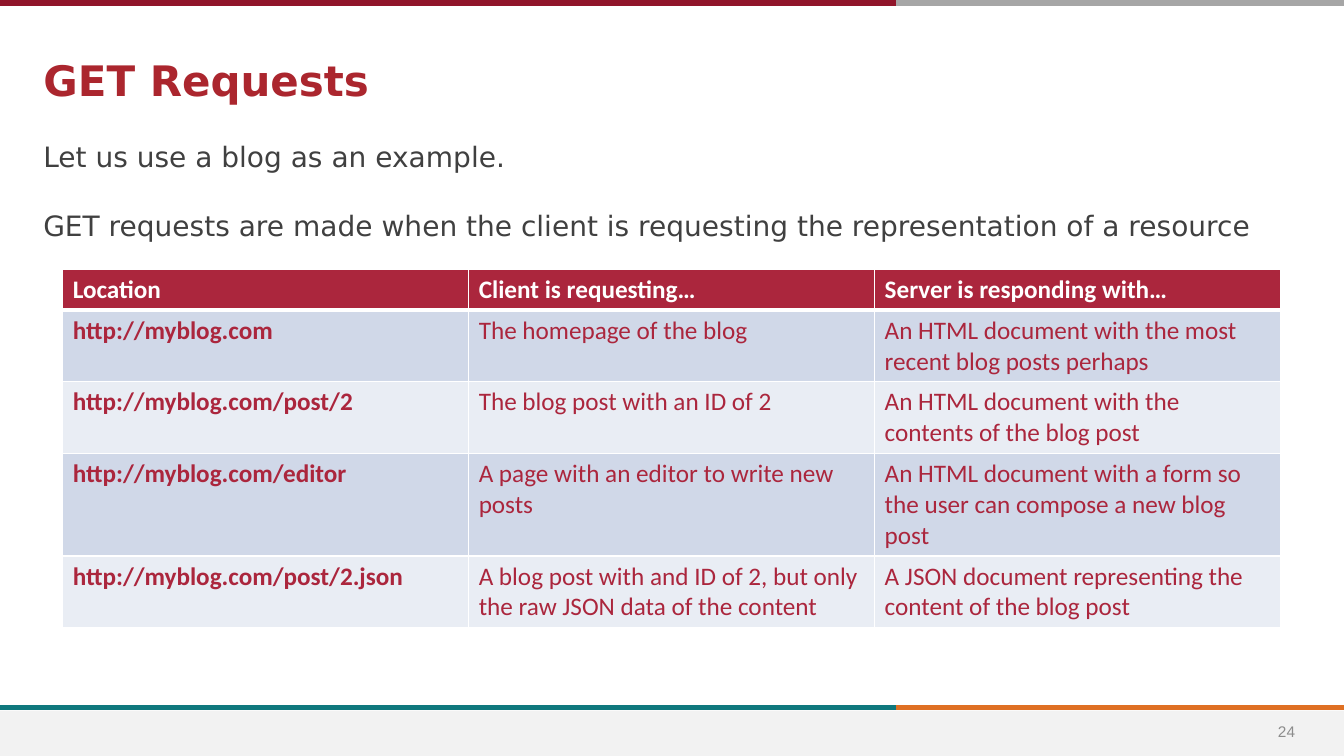
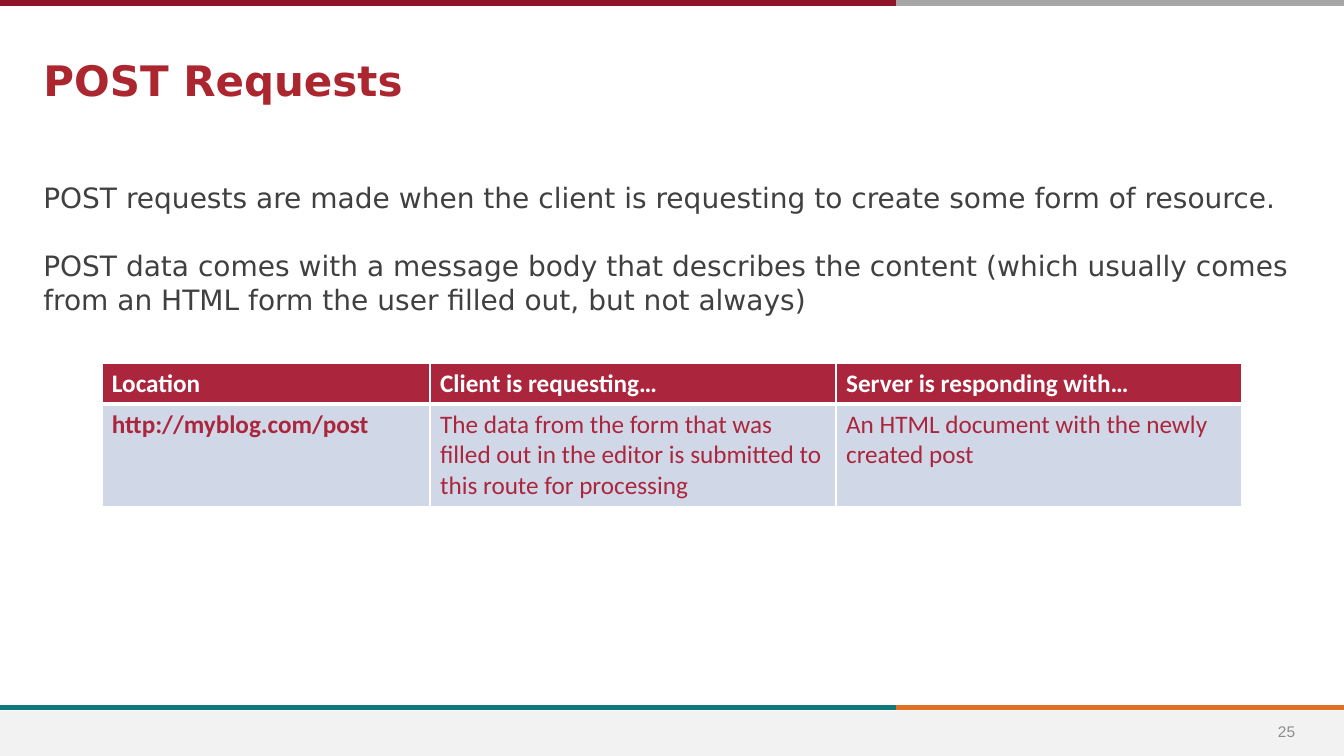
from lxml.etree import SubElement
from pptx import Presentation
from pptx.dml.color import RGBColor
from pptx.enum.shapes import MSO_CONNECTOR, MSO_SHAPE
from pptx.enum.text import MSO_ANCHOR, MSO_AUTO_SIZE, PP_ALIGN
from pptx.oxml.ns import qn
from pptx.util import Pt

SLIDE_WIDTH, SLIDE_HEIGHT = 960, 540
SPLIT = 640
FOOTER_TOP = 507.6
MARGIN = 23.8
TITLE_RED, TABLE_RED = "AB262E", "AB263D"
WHITE, BODY_GRAY, NUMBER_GRAY, FOOTER_GRAY = "FFFFFF", "404040", "8C8C8C", "F2F2F2"
ROW_FILLS = ("D0D8E8", "E9EDF4")
RULES = (
    (2, "90152A", "A6A6A6"),
    (505.5, "0F787D", "DF7023"),
)
TEXT_FONT, TABLE_FONT, NUMBER_FONT = "DejaVu Sans", "Calibri", "Arial"
LINE_HEIGHT, CELL_PADDING = 22, 7.2
HEADINGS = ("Location", "Client is requesting…", "Server is responding with…")


def color(hex_string):
    return RGBColor.from_string(hex_string)


def write_text(paragraph, text, *, font, size, fill, bold=False,
               align=PP_ALIGN.LEFT, before=0, after=0):
    paragraph.text = text
    paragraph.alignment = align
    paragraph.space_before = Pt(before)
    paragraph.space_after = Pt(after)
    paragraph.font.name = font
    paragraph.font.size = Pt(size)
    paragraph.font.bold = bold
    paragraph.font.color.rgb = color(fill)


def set_frame(frame, anchor, top=3.6):
    frame.word_wrap = True
    frame.auto_size = MSO_AUTO_SIZE.NONE
    frame.vertical_anchor = anchor
    frame.margin_top = Pt(top)
    frame.margin_bottom = 0


def add_rule(slide, left, right, y, fill):
    rule = slide.shapes.add_connector(
        MSO_CONNECTOR.STRAIGHT, Pt(left), Pt(y), Pt(right), Pt(y))
    rule.line.color.rgb = color(fill)
    rule.line.width = Pt(4)
    SubElement(rule.element.spPr, qn("a:effectLst"))


def add_bands(slide):
    footer = slide.shapes.add_shape(
        MSO_SHAPE.RECTANGLE, 0, Pt(FOOTER_TOP),
        Pt(SLIDE_WIDTH), Pt(SLIDE_HEIGHT - FOOTER_TOP))
    footer.shadow.inherit = False
    footer.fill.solid()
    footer.fill.fore_color.rgb = color(FOOTER_GRAY)
    footer.line.fill.background()
    for y, left_fill, right_fill in RULES:
        add_rule(slide, SPLIT, SLIDE_WIDTH, y, right_fill)
        add_rule(slide, 0, SPLIT, y, left_fill)


def add_number(slide, number):
    box = slide.shapes.add_textbox(Pt(894), Pt(FOOTER_TOP), Pt(50), Pt(29))
    set_frame(box.text_frame, MSO_ANCHOR.MIDDLE, 0)
    write_text(box.text_frame.paragraphs[0], str(number), font=NUMBER_FONT,
               size=11, fill=NUMBER_GRAY, align=PP_ALIGN.CENTER)


def set_title(slide, text):
    title = slide.shapes.title
    title.left, title.top = Pt(MARGIN), Pt(33)
    title.width, title.height = Pt(767), Pt(42.5)
    set_frame(title.text_frame, MSO_ANCHOR.TOP, 6)
    write_text(title.text_frame.paragraphs[0], text, font=TEXT_FONT,
               size=30, fill=TITLE_RED, bold=True)


def add_body(slide, top, texts):
    box = slide.shapes.add_textbox(
        Pt(MARGIN), Pt(top), Pt(SLIDE_WIDTH - 2 * MARGIN), Pt(87))
    frame = box.text_frame
    set_frame(frame, MSO_ANCHOR.TOP, 5)
    for index, text in enumerate(texts):
        paragraph = frame.add_paragraph() if index else frame.paragraphs[0]
        write_text(paragraph, text, font=TEXT_FONT, size=20, fill=BODY_GRAY,
                   before=12.7 if index else 0, after=12)


def set_borders(cell, widths):
    properties = cell._tc.get_or_add_tcPr()
    for side, width in widths.items():
        border = SubElement(properties, qn(f"a:ln{side}"), w=str(Pt(width)))
        fill = SubElement(border, qn("a:solidFill"))
        SubElement(fill, qn("a:srgbClr"), val=WHITE)


def format_cell(cell, text, row, column):
    is_header = row == 0
    if is_header:
        set_borders(cell, {"L": 1, "R": 1, "T": 1, "B": 3})
    else:
        set_borders(cell, {"L": 1, "R": 1, "B": 1})
    cell.fill.solid()
    cell.fill.fore_color.rgb = color(
        TABLE_RED if is_header else ROW_FILLS[(row - 1) % 2])
    write_text(cell.text_frame.paragraphs[0], text, font=TABLE_FONT, size=18,
               fill=WHITE if is_header else TABLE_RED,
               bold=is_header or column == 0)


def add_request_table(slide, left, top, widths, rows, line_counts):
    heights = [CELL_PADDING + LINE_HEIGHT * count for count in (1, *line_counts)]
    table = slide.shapes.add_table(
        len(heights), len(widths), Pt(left), Pt(top),
        Pt(sum(widths)), Pt(sum(heights))).table
    table.horz_banding = False
    for column, width in zip(table.columns, widths):
        column.width = Pt(width)
    for row, height in zip(table.rows, heights):
        row.height = Pt(height)
    for row, texts in enumerate((HEADINGS, *rows)):
        for column, text in enumerate(texts):
            format_cell(table.cell(row, column), text, row, column)


def add_slide(presentation, number, title, body_top, texts):
    slide = presentation.slides.add_slide(presentation.slide_layouts[5])
    add_bands(slide)
    add_body(slide, body_top, texts)
    add_number(slide, number)
    set_title(slide, title)
    return slide


def main():
    presentation = Presentation()
    presentation.slide_width = Pt(SLIDE_WIDTH)
    presentation.slide_height = Pt(SLIDE_HEIGHT)

    get_slide = add_slide(presentation, 24, "GET Requests", 95, (
        "Let us use a blog as an example.",
        "GET requests are made when the client is requesting the representation of a resource",
    ))
    add_request_table(get_slide, 44.8, 192.4, (290, 290, 290), (
        ("http://myblog.com", "The homepage of the blog",
         "An HTML document with the most recent blog posts perhaps"),
        ("http://myblog.com/post/2", "The blog post with an ID of 2",
         "An HTML document with the contents of the blog post"),
        ("http://myblog.com/editor", "A page with an editor to write new posts",
         "An HTML document with a form so the user can compose a new blog post"),
        ("http://myblog.com/post/2.json",
         "A blog post with and ID of 2, but only the raw JSON data of the content",
         "A JSON document representing the content of the blog post"),
    ), line_counts=(2, 2, 3, 2))

    post_slide = add_slide(presentation, 25, "POST Requests", 124, (
        "POST requests are made when the client is requesting to create some form of resource.",
        "POST data comes with a message body that describes the content "
        "(which usually comes from an HTML form the user filled out, but not always)",
    ))
    add_request_table(post_slide, 72.8, 259.5, (234.4, 290, 290), (
        ("http://myblog.com/post",
         "The data from the form that was filled out in the editor "
         "is submitted to this route for processing",
         "An HTML document with the newly created post"),
    ), line_counts=(3,))

    presentation.save("out.pptx")


if __name__ == "__main__":
    main()
